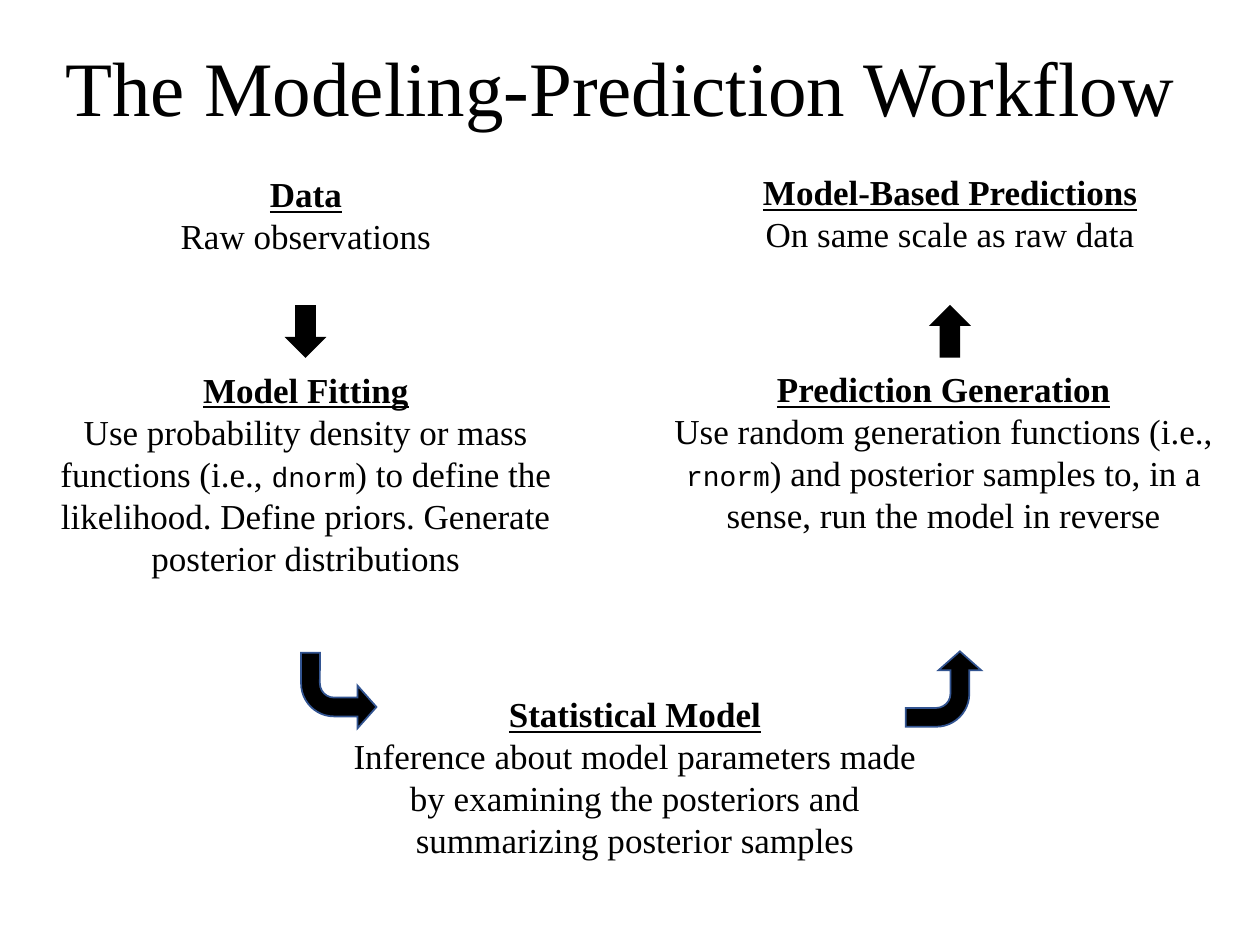
from lxml import etree
from pptx import Presentation
from pptx.dml.color import RGBColor
from pptx.enum.shapes import MSO_SHAPE
from pptx.enum.text import MSO_ANCHOR, MSO_AUTO_SIZE, PP_ALIGN
from pptx.oxml.ns import qn
from pptx.util import Cm, Pt

DOWN, BENT = MSO_SHAPE.DOWN_ARROW, MSO_SHAPE.BENT_ARROW
CENTER, MIDDLE = PP_ALIGN.CENTER, MSO_ANCHOR.MIDDLE
FIT_SHAPE, NO_FIT = MSO_AUTO_SIZE.SHAPE_TO_FIT_TEXT, MSO_AUTO_SIZE.NONE

COLORS = {"ink": "000000", "paper": "FFFFFF", "bend_line": "325491"}
SERIF, MONO = "Times New Roman", "Courier New"

TITLE = "The Modeling-Prediction Workflow "

# heading, body as (text, is_code) runs, (left, top, width, height) in cm
STEPS = [
    ("Data", [("Raw observations", False)], (0.45, 3.36, 11.43, 1.96)),
    ("Model-Based Predictions", [("On same scale as raw data", False)],
     (13.44, 3.32, 11.43, 1.96)),
    ("Model Fitting",
     [("Use probability density or mass functions (i.e., ", False),
      ("dnorm", True),
      (") to define the likelihood. Define priors. "
       "Generate posterior distributions", False)],
     (0.45, 7.3, 11.43, 4.52)),
    ("Prediction Generation",
     [("Use random generation functions (i.e., ", False),
      ("rnorm", True),
      (") and posterior samples to, in a sense, "
       "run the model in reverse", False)],
     (13.31, 7.29, 11.43, 3.68)),
    ("Statistical Model",
     [("Inference about model parameters made by examining the posteriors "
       "and summarizing posterior samples", False)],
     (6.45, 13.84, 12.7, 3.68)),
]

# shape, (left, top) in cm, rotation
ARROWS = [
    (DOWN, (5.78, 6.17), 0),
    (BENT, (6.07, 13.16), 180),
    (BENT, (18.26, 13.13), 90),
    (DOWN, (18.77, 6.17), 180),
]
# size in cm, outline colour, adjustments
ARROW_STYLES = {
    DOWN: ((0.76, 1.02), "ink", ()),
    BENT: ((1.52, 1.52), "bend_line", (0.25, 0.282, 0.25, 0.438)),
}


def rgb(name):
    return RGBColor.from_string(COLORS[name])


def add_run(p, text, size=20, font=SERIF, bold=False, underline=False):
    r = p.add_run()
    r.text = text
    r.font.name, r.font.size = font, Pt(size)
    r.font.bold, r.font.underline = bold, underline
    r.font.color.rgb = rgb("ink")


def place(shape, box):
    shape.left, shape.top, shape.width, shape.height = map(Cm, box)


def add_step(s, heading, body, box):
    tf = s.shapes.add_textbox(*map(Cm, box)).text_frame
    tf.word_wrap = True
    tf.auto_size = FIT_SHAPE
    p = tf.paragraphs[0]
    p.alignment = CENTER
    add_run(p, heading, bold=True, underline=True)
    p = tf.add_paragraph()
    p.alignment = CENTER
    for text, is_code in body:
        if is_code:
            add_run(p, text, size=16, font=MONO)
        else:
            add_run(p, text)


def add_arrow(s, kind, corner, rotation):
    size, line, adjustments = ARROW_STYLES[kind]
    arrow = s.shapes.add_shape(kind, *map(Cm, corner + size))
    for i, value in enumerate(adjustments):
        arrow.adjustments[i] = value
    arrow.rotation = rotation
    sp_pr = arrow._element.spPr
    sp_pr.xfrm.set("flipH", "1")
    arrow.shadow.inherit = False
    arrow.fill.solid()
    arrow.fill.fore_color.rgb = rgb("ink")
    arrow.line.color.rgb = rgb(line)
    arrow.line.width = Pt(1)
    # Sharp outline corners
    etree.SubElement(sp_pr.find(qn("a:ln")), qn("a:miter"), lim="800000")


def main():
    prs = Presentation()
    prs.slide_width, prs.slide_height = Cm(25.4), Cm(19.05)
    s = prs.slides.add_slide(prs.slide_layouts[5])
    s.background.fill.solid()
    s.background.fill.fore_color.rgb = rgb("paper")

    # Title
    title = s.shapes.title
    place(title, (1.04, 0, 23.32, 3.68))
    tf = title.text_frame
    tf.word_wrap = True
    tf.auto_size = NO_FIT
    tf.vertical_anchor = MIDDLE
    p = tf.paragraphs[0]
    p.alignment, p.line_spacing = CENTER, 0.9
    add_run(p, TITLE, size=44)

    # Workflow steps and the arrows between them
    for step in STEPS:
        add_step(s, *step)
    for arrow in ARROWS:
        add_arrow(s, *arrow)

    prs.save("out.pptx")


if __name__ == "__main__":
    main()
